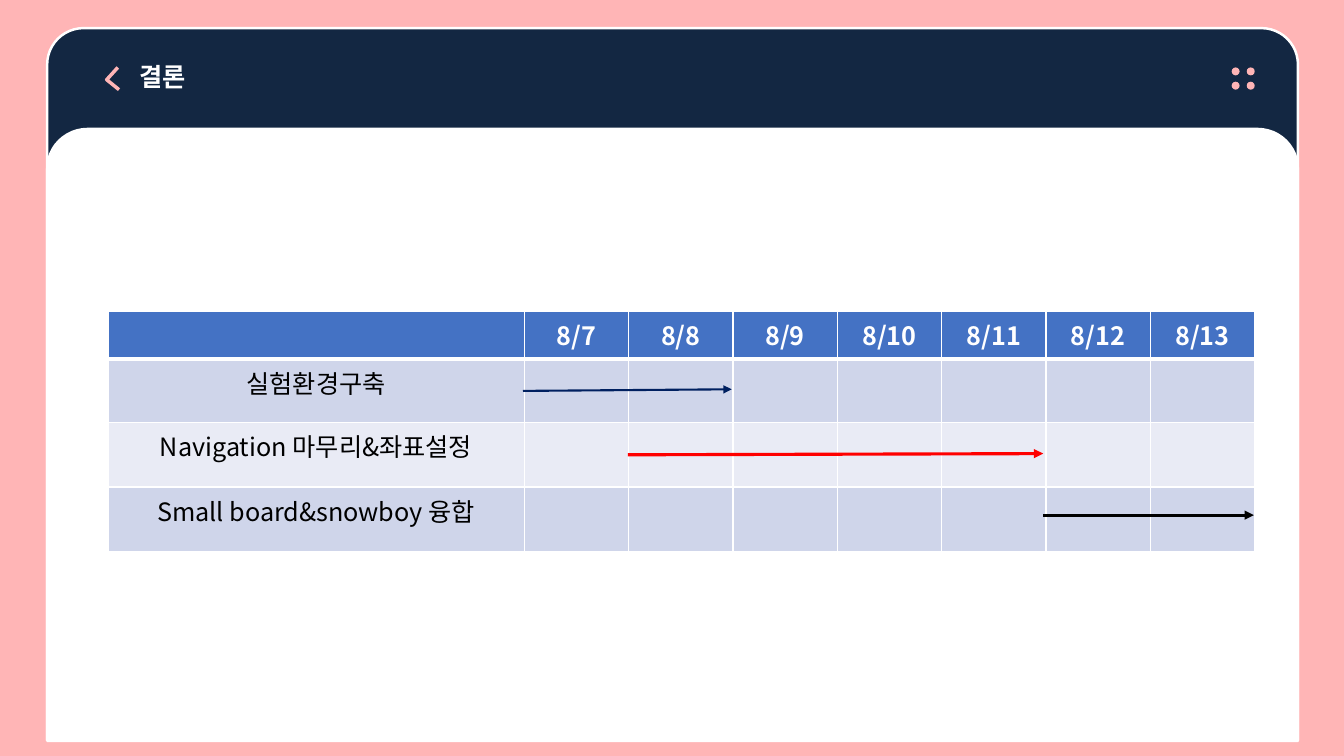
"""Build the closing slide with its week schedule."""
import pptx
import pptx.util
import pptx.dml.color
import pptx.enum.shapes
import pptx.enum.text
import pptx.oxml
import pptx.oxml.ns
from lxml import etree

Cm = pptx.util.Cm
Pt = pptx.util.Pt
RGB = pptx.dml.color.RGBColor
KIND = pptx.enum.shapes.MSO_SHAPE
qn = pptx.oxml.ns.qn

PINK = RGB(0xFF, 0xB5, 0xB6)
NAVY = RGB(0x13, 0x27, 0x42)
WHITE = RGB(0xFF, 0xFF, 0xFF)
BLACK = RGB(0x00, 0x00, 0x00)
BLUE = RGB(0x44, 0x72, 0xC4)
DARK = RGB(0xCF, 0xD5, 0xEA)
LIGHT = RGB(0xE9, 0xEB, 0xF5)
INK = RGB(0x00, 0x20, 0x60)
RED = RGB(0xFF, 0x00, 0x00)
FACE = "Noto Sans CJK KR"


def write(frame, text, color, bold, align):
    para = frame.paragraphs[0]
    para.alignment = align
    run = para.add_run()
    run.text = text
    for key, value in {"name": FACE, "size": Pt(18), "bold": bold}.items():
        setattr(run.font, key, value)
    run.font.color.rgb = color
    etree.SubElement(run.font._rPr, qn("a:ea")).set("typeface", FACE)


def paint(shape, fill, line=None):
    shape.shadow.inherit = False
    shape.fill.solid()
    shape.fill.fore_color.rgb = fill
    if line is None:
        shape.line.fill.background()
    else:
        shape.line.color.rgb = line
        shape.line.width = Pt(1.75)


deck = pptx.Presentation()
deck.slide_width, deck.slide_height = Cm(33.87), Cm(19.05)
slide = deck.slides.add_slide(deck.slide_layouts[5])
slide.background.fill.solid()
slide.background.fill.fore_color.rgb = PINK
shapes = slide.shapes

for top, high, bend, fill in ((0.71, 17.96, 0.051, NAVY), (3.25, 15.4, 0.066, WHITE)):
    card = shapes.add_shape(KIND.ROUND_2_SAME_RECTANGLE, Cm(1.19), Cm(top), Cm(31.52), Cm(high))
    card.adjustments[0] = bend
    card.adjustments[1] = 0
    paint(card, fill, WHITE)

pen = shapes.build_freeform(Cm(2.97), Cm(1.7))
pen.add_line_segments([(Cm(2.69), Cm(2.01)), (Cm(3), Cm(2.26))], close=False)
back = pen.convert_to_shape()
back.shadow.inherit = False
back.fill.background()
back.line.color.rgb = PINK
back.line.width = Pt(2.5)

for row in range(2):
    for col in range(2):
        dot = shapes.add_shape(KIND.OVAL, Cm(31.04 + 0.38 * col), Cm(1.7 + 0.36 * row), Cm(0.2), Cm(0.2))
        paint(dot, PINK)

title = shapes.title
place = {"left": Cm(3.25), "top": Cm(1.42), "width": Cm(5.82), "height": Cm(1.02)}
for key, value in place.items():
    setattr(title, key, value)
title.text_frame.vertical_anchor = pptx.enum.text.MSO_ANCHOR.TOP
title.text_frame.auto_size = pptx.enum.text.MSO_AUTO_SIZE.NONE
write(title.text_frame, "결론", WHITE, True, pptx.enum.text.PP_ALIGN.LEFT)
shapes._spTree.append(title._element)

days = [f"8/{day}" for day in range(7, 14)]
tasks = ["실험환경구축", "Navigation 마무리&좌표설정", "Small board&snowboy 융합"]
rows = [["", *days]] + [[task] + [""] * len(days) for task in tasks]
fills = [BLUE, DARK, LIGHT, DARK]
table = shapes.add_table(len(rows), len(rows[0]), Cm(2.72), Cm(7.85), Cm(28.9), Cm(6.05)).table
for col, wide in zip(table.columns, [10.49] + [2.63] * len(days)):
    col.width = Cm(wide)
for row, high in zip(table.rows, [1.19, 1.6, 1.63, 1.63]):
    row.height = Cm(high)
for r, (row, fill) in enumerate(zip(rows, fills)):
    for c, text in enumerate(row):
        cell = table.cell(r, c)
        cell.fill.solid()
        cell.fill.fore_color.rgb = fill
        if text:
            write(cell.text_frame, text, BLACK if r else WHITE, r == 0, pptx.enum.text.PP_ALIGN.CENTER)
        if r == 0:
            edge = etree.Element(qn("a:lnB"), w=str(Pt(3)))
            paper = etree.SubElement(edge, qn("a:solidFill"))
            etree.SubElement(paper, qn("a:srgbClr")).set("val", str(WHITE))
            cell._tc.get_or_add_tcPr().insert(0, edge)

spans = [
    (13.18, 9.85, 18.44, 9.81, INK, 1.5),
    (15.82, 11.46, 26.29, 11.43, RED, 2.25),
    (26.29, 12.98, 31.6, 12.98, BLACK, 2.25),
]
for x1, y1, x2, y2, color, wide in spans:
    span = shapes.add_connector(pptx.enum.shapes.MSO_CONNECTOR.STRAIGHT, Cm(x1), Cm(y1), Cm(x2), Cm(y2))
    span.line.color.rgb = color
    span.line.width = Pt(wide)
    etree.SubElement(span.line._get_or_add_ln(), qn("a:tailEnd")).set("type", "triangle")
    etree.SubElement(span._element.spPr, qn("a:effectLst"))

deck.save("out.pptx")
